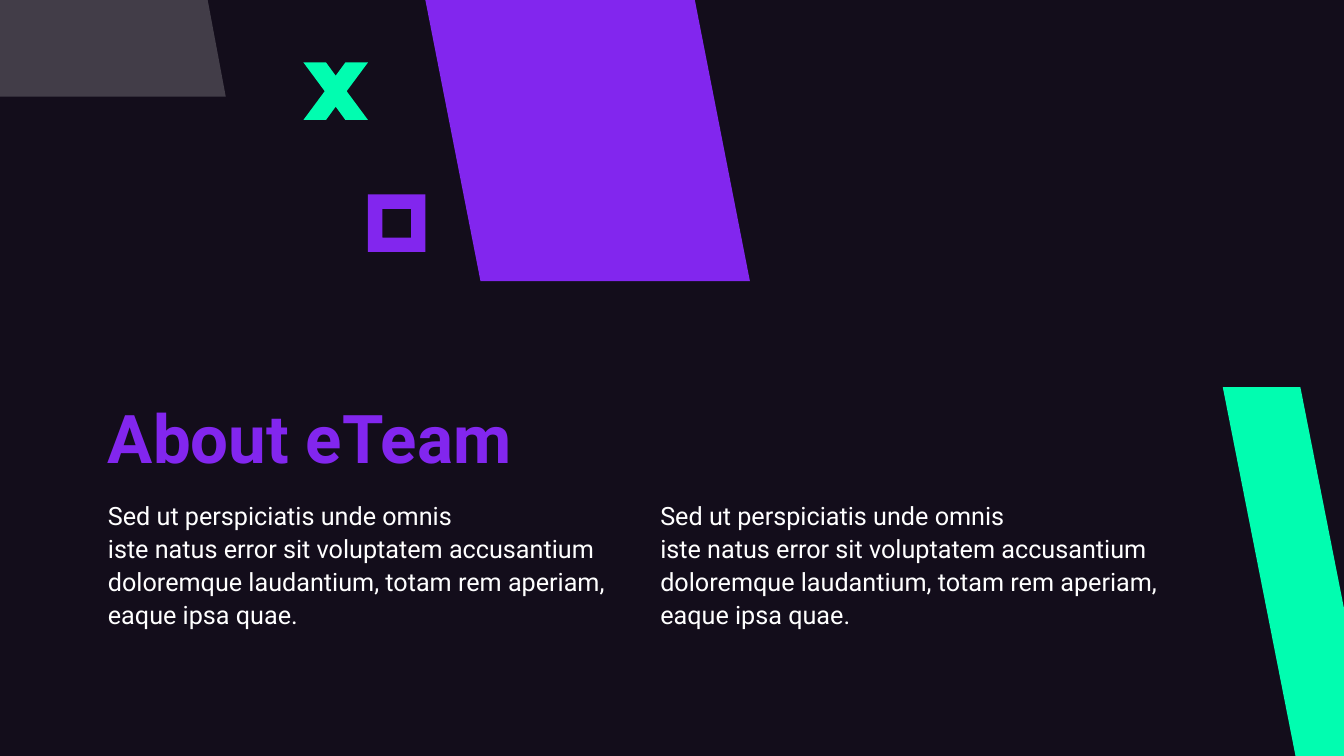
from lxml import etree
from pptx import Presentation, util as u
from pptx.dml.color import RGBColor
from pptx.enum import shapes, text
from pptx.oxml.ns import qn

WIDE, HIGH = u.Inches(13.333), u.Inches(7.5)
HUES = {"night": "130D1B", "violet": "8226EE", "mint": "01FDB0", "white": "FFFFFF"}
BODY = ("Sed ut perspiciatis unde omnis\viste natus error sit voluptatem accusantium "
        "doloremque laudantium, totam rem aperiam, eaque ipsa quae.")

RING = [[(0.25, 0.25), (0.25, 0.75), (0.75, 0.75), (0.75, 0.25)],
        [(0, 0), (1, 0), (1, 1), (0, 1)]]
CROSS = [[(0, 0), (0.35, 0), (0.5, 0.23), (0.65, 0), (1, 0), (0.67, 0.5),
          (1, 1), (0.65, 1), (0.5, 0.77), (0.35, 1), (0, 1), (0.33, 0.5)]]
BLADE = [[(0, 0), (0.64, 0), (1, 0.6), (1, 1), (0.6, 1)]]
CORNER = [[(0, 0), (0.92, 0), (1, 1), (0, 1)]]


def hue(name):
    return RGBColor.from_string(HUES[name])


def place(x, y, w, h):
    return [round(n * side / 100) for n, side in zip((x, y, w, h), (WIDE, HIGH) * 2)]


def paint(shape, color, alpha=None):
    shape.shadow.inherit = False
    shape.line.fill.background()
    shape.fill.solid()
    shape.fill.fore_color.rgb = hue(color)
    if alpha:
        tone = shape.element.spPr.find(qn("a:solidFill"))[0]
        etree.SubElement(tone, qn("a:alpha")).set("val", str(alpha * 1000))


def outline(slide, box, loops, color, alpha=None):
    x, y, w, h = place(*box)
    loops = [[(round(x + w * a), round(y + h * b)) for a, b in loop] for loop in loops]
    form = slide.shapes.build_freeform(*loops[0][0])
    for i, loop in enumerate(loops):
        if i:
            form.move_to(*loop[0])
        form.add_line_segments(loop[1:], close=True)
    paint(form.convert_to_shape(), color, alpha)


def slant(slide, box, color):
    shape = slide.shapes.add_shape(shapes.MSO_SHAPE.PARALLELOGRAM, *place(*box))
    shape.adjustments[0] = 0.196
    shape.element.spPr.get_or_add_xfrm().set("flipH", "1")
    paint(shape, color)


def write(slide, box, words, size, color, gap, bold=False, anchor=text.MSO_ANCHOR.TOP):
    frame = slide.shapes.add_textbox(*place(*box)).text_frame
    frame.word_wrap = True
    frame.vertical_anchor = anchor
    frame.margin_left = frame.margin_right = frame.margin_top = frame.margin_bottom = 0
    frame.text = words
    para = frame.paragraphs[0]
    para.line_spacing = gap
    for run in para.runs:
        run.font.name = "Roboto"
        run.font.size = u.Pt(size)
        run.font.bold = bold
        run.font.color.rgb = hue(color)


def about(slide):
    write(slide, (8.03, 38.53, 34.88, 24.67), "About eTeam", 48, "violet", 0.9,
          True, text.MSO_ANCHOR.BOTTOM)
    for x in (8.03, 49.13):
        write(slide, (x, 65.73, 37.35, 31.07), BODY, 18, "white", 1.1)


def decor(slide):
    slant(slide, (31.65, 0, 24.15, 37.2), "violet")
    outline(slide, (27.38, 25.73, 4.28, 7.6), RING, "violet")
    outline(slide, (22.58, 8.27, 4.8, 7.6), CROSS, "mint")
    outline(slide, (90.98, 51.2, 9.02, 48.8), BLADE, "mint")
    outline(slide, (0, 0, 16.8, 12.8), CORNER, "white", 20)


def main():
    deck = Presentation()
    deck.slide_width, deck.slide_height = WIDE, HIGH
    slide = deck.slides.add_slide(deck.slide_layouts[6])
    slide.background.fill.solid()
    slide.background.fill.fore_color.rgb = hue("night")
    about(slide)
    decor(slide)
    deck.save("out.pptx")


if __name__ == "__main__":
    main()
